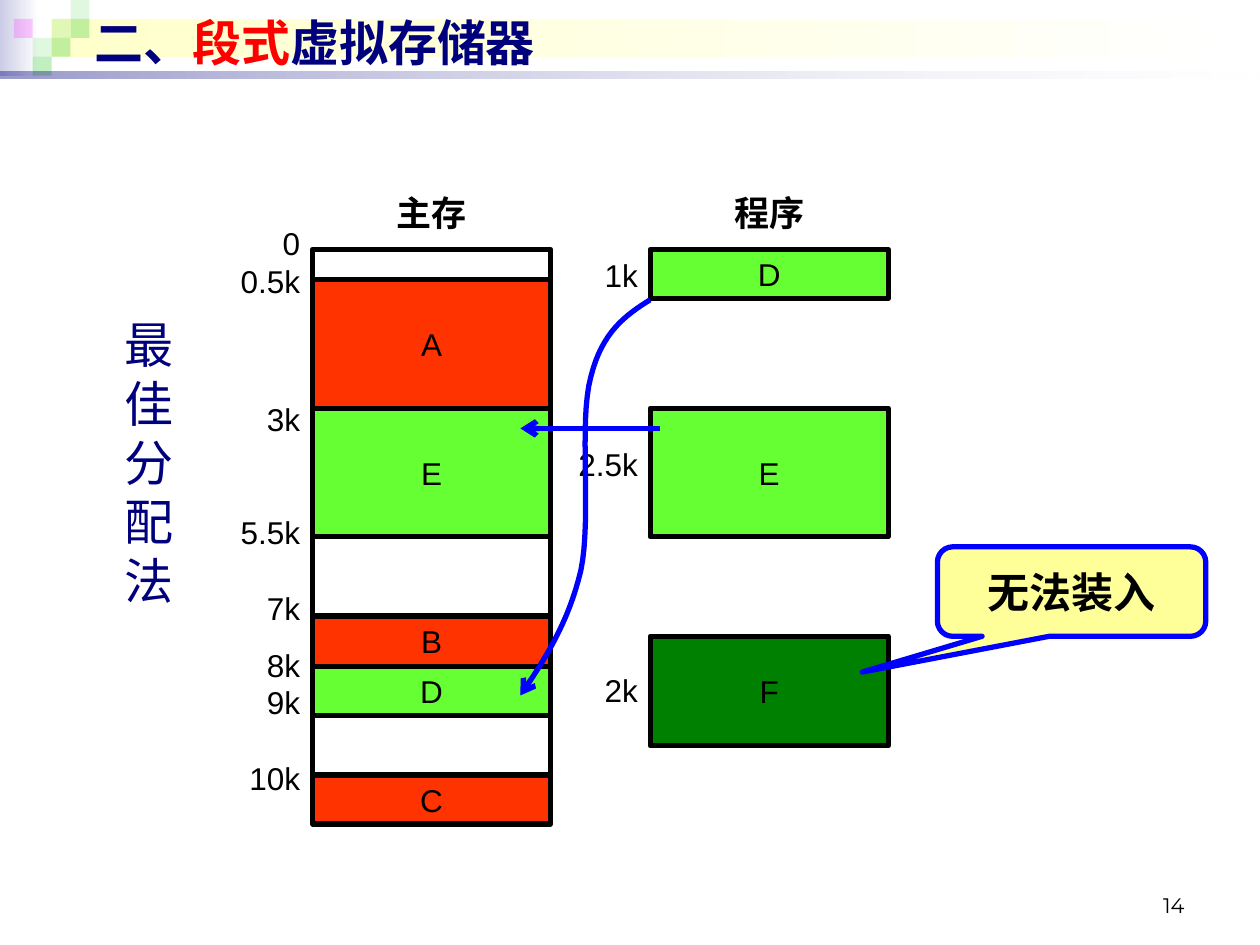
from pptx import Presentation
from pptx.dml.color import RGBColor
from pptx.enum.shapes import MSO_CONNECTOR, MSO_SHAPE
from pptx.enum.text import MSO_ANCHOR, PP_ALIGN
from pptx.oxml.ns import qn
from pptx.util import Inches, Pt
from lxml.etree import SubElement

HUE = {"navy": "00007D", "red": "FF0000", "blue": "0000FF", "black": "000000",
       "white": "FFFFFF", "haze": "CCCCE6", "cream": "FFFFCC", "note": "FFFF99",
       "used": "FF3300", "new": "66FF33", "fail": "008000",
       "leaf": "33CC33", "pink": "FF00FF"}

# Content
TITLE = [("二、", "navy"), ("段式", "red"), ("虚拟存储器", "navy")]
BANDS = [  # box, then colour and opacity at each end
    ((0, 0, 0.31, 0.6), ("haze", 100), ("white", 100)),
    ((0.41, 0.15, 9.55, 0.3), ("cream", 100), ("white", 100)),
    ((0, 0.57, 10, 0.05), ("navy", 40), ("white", 10))]
TILES = [  # column, row, colour, opacity
    (2, 1, "leaf", 15), (3, 0, "leaf", 15), (3, 1, "leaf", 30),
    (1, 2, "leaf", 15), (0, 1, "pink", 20), (2, 2, "leaf", 30),
    (1, 3, "leaf", 30)]
MEMORY, PROGRAM = 2.48, 5.16
HEADS = [("主存", MEMORY), ("程序", PROGRAM)]
BLOCKS = [  # name, column, top, bottom, fill
    ("", MEMORY, 1.98, 2.22, None), ("A", MEMORY, 2.22, 3.24, "used"),
    ("", MEMORY, 3.24, 4.89, None), ("B", MEMORY, 4.89, 5.29, "used"),
    ("", MEMORY, 5.29, 6.15, None), ("C", MEMORY, 6.15, 6.54, "used"),
    ("D", PROGRAM, 1.98, 2.37, "new"), ("E", PROGRAM, 3.24, 4.26, "new"),
    ("D", MEMORY, 5.29, 5.68, "new"), ("E", MEMORY, 3.24, 4.26, "new"),
    ("F", PROGRAM, 5.05, 5.92, "fail")]
SCALES = [  # column, top, labels with the lines skipped before each
    (MEMORY, 1.73, [("0", 0), ("0.5k", 0), ("3k", 2.65), ("5.5k", 2), ("7k", 1),
                    ("8k", 0.5), ("9k", 0), ("10k", 1)]),
    (PROGRAM, 1.98, [("1k", 0), ("2.5k", 4), ("2k", 5)])]
CURVE = [(5.16, 2.38), (4.97, 2.5), (4.78, 2.63), (4.69, 2.99), (4.59, 3.35),
         (4.7, 4.1), (4.61, 4.53), (4.51, 4.95), (4.32, 5.24), (4.13, 5.52)]
TILE, WIDE, LABEL, LINE = 0.15, 1.89, 0.79, 21.6

deck = Presentation()
deck.slide_width, deck.slide_height = Inches(10), Inches(7.5)
slide = deck.slides.add_slide(deck.slide_layouts[5])
shapes = slide.shapes


def rgb(name):
    return RGBColor.from_string(HUE[name])


def style(run, size, hue="black", bold=False, face="Arial"):
    run.font.size, run.font.name, run.font.bold = Pt(size), face, bold
    run.font.color.rgb = rgb(hue)


def write(frame, text, size, hue="black", bold=False, face="Arial",
          align=PP_ALIGN.CENTER):
    frame.text = text
    for para in frame.paragraphs:
        para.alignment = align
        for run in para.runs:
            style(run, size, hue, bold, face)


def text_box(box):
    frame = shapes.add_textbox(*map(Inches, box)).text_frame
    frame.word_wrap = True
    return frame


def add(kind, box, fill=None, line=None):
    shape = shapes.add_shape(kind, *map(Inches, box))
    shape.shadow.inherit = False
    if fill:
        shape.fill.solid()
        shape.fill.fore_color.rgb = rgb(fill)
    else:
        shape.fill.background()
    if line:
        stroke(shape, line)
    else:
        shape.line.fill.background()
    return shape


def stroke(shape, hue):
    shape.line.color.rgb, shape.line.width = rgb(hue), Pt(3)


def fade(shape, levels):
    colors = shape.fill._xPr.iter(qn("a:srgbClr"))
    for color, level in zip(colors, levels):
        SubElement(color, qn("a:alpha")).set("val", str(level * 1000))


def arrow(shape):
    stroke(shape, "blue")
    SubElement(shape.line._get_or_add_ln(), qn("a:tailEnd")).set("type", "arrow")


def bend(points, steps=16):
    """Points along a chain of cubic curves."""
    for at in range(0, len(points) - 1, 3):
        for step in range(1, steps + 1):
            t = step / steps
            parts = ((1 - t) ** 3, 3 * t * (1 - t) ** 2, 3 * t * t * (1 - t), t ** 3)
            yield tuple(Inches(sum(w * p[axis] for w, p in zip(parts, points[at:at + 4])))
                        for axis in (0, 1))


# Header decoration
def band(box, *ends):
    shape = add(MSO_SHAPE.RECTANGLE, box)
    shape.fill.gradient()
    shape.fill.gradient_angle = 0
    for stop, place, (hue, level) in zip(shape.fill.gradient_stops, (0, 1), ends):
        stop.color.rgb, stop.position = rgb(hue), place
    fade(shape, [level for hue, level in ends])


for item in BANDS[:2]:
    band(*item)
for col, row, hue, level in TILES:
    tile = add(MSO_SHAPE.RECTANGLE, (0.11 + col * TILE, row * TILE, TILE, TILE), hue)
    fade(tile, [level])
band(*BANDS[2])

# Title, brought in front of the decoration
title = shapes.title
shapes._spTree.append(title._element)
title.left, title.top, title.width, title.height = map(Inches, (0.65, 0.05, 9, 0.57))
title.text_frame.vertical_anchor = MSO_ANCHOR.MIDDLE
para = title.text_frame.paragraphs[0]
para.alignment = PP_ALIGN.LEFT
for text, hue in TITLE:
    run = para.add_run()
    run.text = text
    style(run, 28, hue, True)

# Slide number
number = text_box((7.17, 6.93, 2.33, 0.4))
number.vertical_anchor = MSO_ANCHOR.BOTTOM
write(number, "14", 12, face="Montserrat", align=PP_ALIGN.RIGHT)

# Memory and program blocks
for name, left, top, end, fill in BLOCKS:
    block = add(MSO_SHAPE.RECTANGLE, (left, top, WIDE, end - top), fill, "black")
    if name:
        block.text_frame.word_wrap = False
        block.text_frame.vertical_anchor = MSO_ANCHOR.MIDDLE
        write(block.text_frame, name, 18)

# Headings, address scales and method name
for text, left in HEADS:
    write(text_box((left + (WIDE - 1.02) / 2, 1.47, 1.02, 0.43)), text, 20, bold=True)
for left, top, labels in SCALES:
    tall = sum(1 + skip for text, skip in labels) * LINE / 72 + 0.1
    frame = text_box((left - LABEL, top, LABEL, tall))
    write(frame, "\n".join(text for text, skip in labels), 18, align=PP_ALIGN.RIGHT)
    for para, (text, skip) in zip(frame.paragraphs, labels):
        para.line_spacing, para.space_before = Pt(LINE), Pt(skip * LINE)
write(text_box((0.83, 2.45, 0.71, 2.44)), "最佳分配法", 28, "navy")

# Arrows from program to memory
pen = shapes.build_freeform(*map(Inches, CURVE[0]))
pen.add_line_segments(list(bend(CURVE)), close=False)
route = pen.convert_to_shape()
route.shadow.inherit = False
route.fill.background()
arrow(route)
link = shapes.add_connector(MSO_CONNECTOR.STRAIGHT, *map(Inches, (5.24, 3.4, 4.13, 3.4)))
arrow(link)
SubElement(link._element.spPr, qn("a:effectLst"))

# Callout
note = add(MSO_SHAPE.ROUNDED_RECTANGULAR_CALLOUT, (7.44, 4.34, 2.13, 0.71), "note", "blue")
for at, value in enumerate((-0.78, 0.9, 0.17)):
    note.adjustments[at] = value
note.text_frame.vertical_anchor = MSO_ANCHOR.MIDDLE
write(note.text_frame, "无法装入", 24, bold=True)

deck.save("out.pptx")
